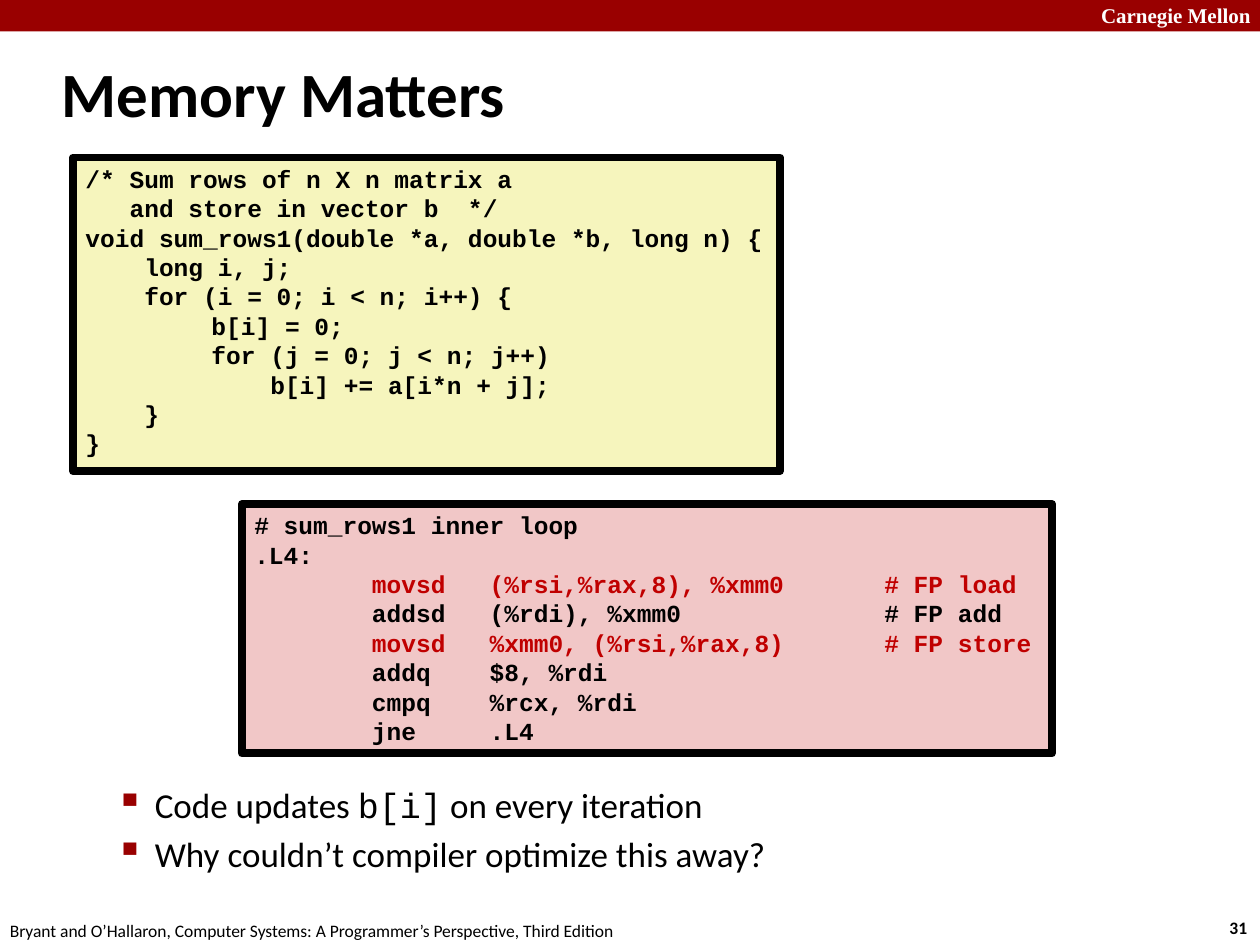
from lxml import etree
from pptx import Presentation, util as u
from pptx.dml.color import RGBColor
from pptx.enum import shapes, text
from pptx.oxml.ns import qn

# Slide on a grid of 10 columns by 7.5 rows
deck = Presentation()
deck.slide_width, deck.slide_height = u.Inches(10), u.Inches(7.5)
COL, ROW = deck.slide_width / 10, deck.slide_height / 7.5
slide = deck.slides.add_slide(deck.slide_layouts[5])
rgb = RGBColor.from_string
RED, BLACK, HOT = "990000", "000000", "C00000"


def area(x, y, w, h):
    return int(x * COL), int(y * ROW), int(w * COL), int(h * ROW)


def write(para, words, color=BLACK, **form):
    run = para.add_run()
    run.text = words
    run.font.color.rgb = rgb(color)
    for key, val in form.items():
        setattr(run.font, key, val)


# Top band
band = slide.shapes.add_shape(shapes.MSO_SHAPE.RECTANGLE, *area(0, 0, 10, 0.25))
band.shadow.inherit = False
band.fill.solid()
band.fill.fore_color.rgb = rgb(RED)
band.line.fill.background()

# Band label, page number and footer
SMALL = dict(size=u.Pt(10), name="Calibri")
labels = [
    ((8.64, -0.03, 1.43, 0.3), "Carnegie Mellon", "FFFFFF",
     dict(size=u.Pt(12), name="Times New Roman", bold=True)),
    ((9.66, 7.23, 0.37, 0.27), "31", BLACK, dict(SMALL, bold=True)),
    ((-0.02, 7.25, 5.08, 0.27),
     "Bryant and O’Hallaron, Computer Systems: A Programmer’s Perspective, Third Edition",
     BLACK, SMALL),
]
for spot, words, color, form in labels:
    frame = slide.shapes.add_textbox(*area(*spot)).text_frame
    frame.word_wrap = True
    write(frame.paragraphs[0], words, color, **form)

# Title
title = slide.shapes.title
title.left, title.top, title.width, title.height = area(0.39, 0.32, 8.3, 0.83)
frame = title.text_frame
frame.auto_size = text.MSO_AUTO_SIZE.NONE
frame.vertical_anchor = text.MSO_ANCHOR.MIDDLE
frame.paragraphs[0].alignment = text.PP_ALIGN.LEFT
write(frame.paragraphs[0], "Memory Matters", size=u.Pt(36), name="Calibri", bold=True)

# Bullets
frame = slide.shapes.add_textbox(*area(0.32, 6.17, 9.09, 0.88)).text_frame
frame.word_wrap = True
points = [
    [("Code updates ", "Calibri"), ("b[i]", "Courier New"),
     (" on every iteration", "Calibri")],
    [("Why couldn’t compiler optimize this away?", "Calibri")],
]
for i, parts in enumerate(points):
    para = frame.add_paragraph() if i else frame.paragraphs[0]
    para.space_before = u.Pt(4 if i else 0)
    props = para._p.get_or_add_pPr()
    props.set("marL", str(int(0.81 * COL)))
    props.set("indent", str(int(-0.31 * COL)))
    tint = etree.SubElement(props, qn("a:buClr"))
    etree.SubElement(tint, qn("a:srgbClr"), val=RED)
    etree.SubElement(props, qn("a:buSzPct"), val="110000")
    etree.SubElement(props, qn("a:buChar"), char="▪")
    for words, face in parts:
        write(para, words, size=u.Pt(20), name=face)

# Code boxes: place, fill, text, word that marks a red line
asm = """# sum_rows1 inner loop
.L4:
        movsd   (%rsi,%rax,8), %xmm0\t# FP load
        addsd   (%rdi), %xmm0\t\t# FP add
        movsd   %xmm0, (%rsi,%rax,8)\t# FP store
        addq    $8, %rdi
        cmpq    %rcx, %rdi
        jne     .L4"""
source = """/* Sum rows of n X n matrix a
   and store in vector b  */
void sum_rows1(double *a, double *b, long n) {
    long i, j;
    for (i = 0; i < n; i++) {
\tb[i] = 0;
\tfor (j = 0; j < n; j++)
\t    b[i] += a[i*n + j];
    }
}"""
CODE = dict(size=u.Pt(14), name="Courier New", bold=True)
for spot, fill, code in [((1.92, 4, 6.43, 1.98), "F1C7C7", asm),
                         ((0.58, 1.25, 5.61, 2.49), "F6F5BD", source)]:
    box = slide.shapes.add_shape(shapes.MSO_SHAPE.RECTANGLE, *area(*spot))
    box.shadow.inherit = False
    box.fill.solid()
    box.fill.fore_color.rgb = rgb(fill)
    box.line.color.rgb = rgb(BLACK)
    box.line.width = u.Pt(4.5)
    frame = box.text_frame
    frame.word_wrap = True
    frame.vertical_anchor = text.MSO_ANCHOR.TOP
    for i, line in enumerate(code.split("\n")):
        para = frame.add_paragraph() if i else frame.paragraphs[0]
        para.alignment = text.PP_ALIGN.LEFT
        tabs = etree.SubElement(para._p.get_or_add_pPr(), qn("a:tabLst"))
        for stop in range(1, 6):
            etree.SubElement(tabs, qn("a:tab"), pos=str(int(stop * COL)), algn="l")
        write(para, line, HOT if "movsd" in line else BLACK, **CODE)

deck.save("out.pptx")
